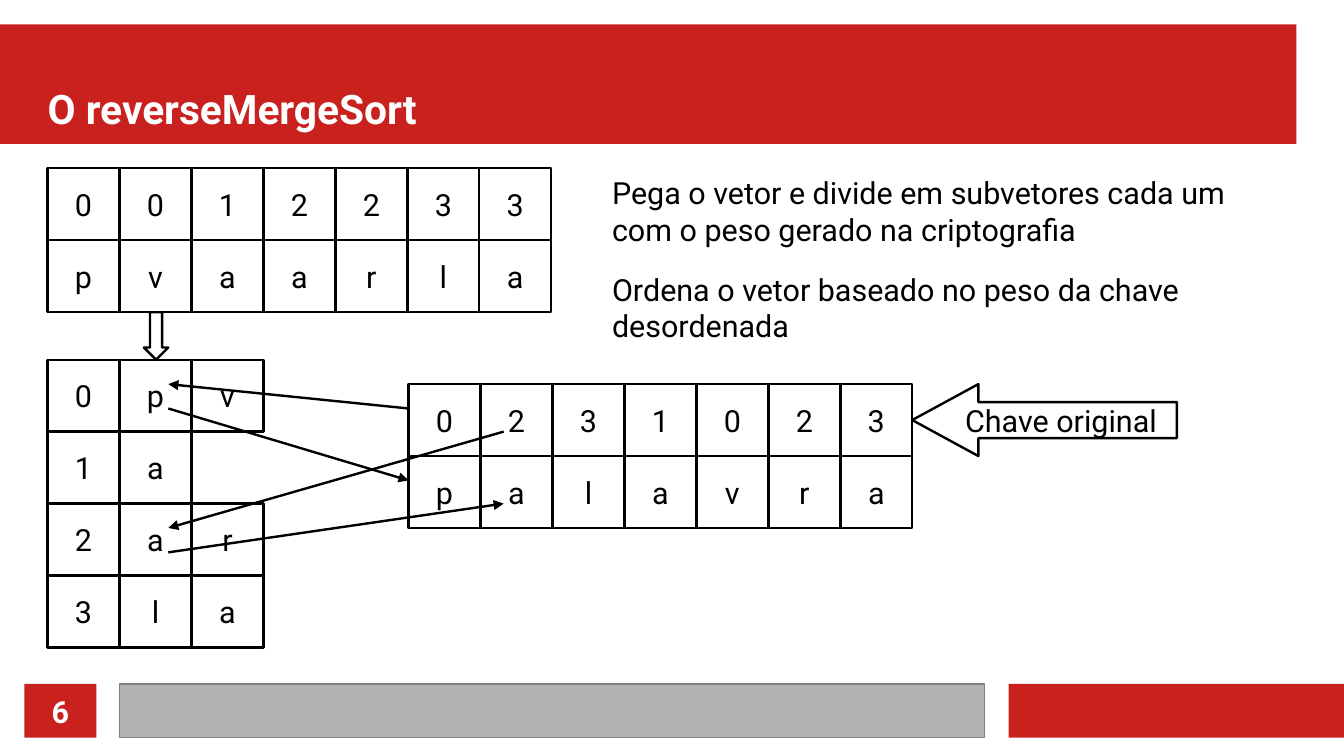
from dataclasses import dataclass

from lxml.etree import SubElement
from pptx import Presentation
from pptx.dml.color import RGBColor
from pptx.enum.shapes import MSO_CONNECTOR as Connector, MSO_SHAPE as Shape
from pptx.enum.text import MSO_ANCHOR as Anchor, MSO_AUTO_SIZE as AutoSize, PP_ALIGN as Align
from pptx.oxml.ns import qn
from pptx.util import Inches, Pt


@dataclass(frozen=True)
class Theme:
    font: str = "Roboto"
    red: str = "C9211E"
    gray: str = "B2B2B2"
    gray_line: str = "808080"
    black: str = "000000"
    white: str = "FFFFFF"
    title_size: float = 24
    text_size: float = 18
    line_width: float = 1.42
    cell: float = 0.59


class SlideBuilder:
    def __init__(self, slide, theme):
        self.s = slide
        self.theme = theme

    def add_run(self, tf, text, size=None, color=None, bold=False, align=Align.LEFT):
        p = tf.paragraphs[0]
        p.alignment = align
        r = p.add_run()
        r.text = text
        r.font.name = self.theme.font
        r.font.size = Pt(size or self.theme.text_size)
        r.font.bold = bold
        r.font.color.rgb = RGBColor.from_string(color or self.theme.black)

    def title(self, text, left, top, width, height):
        sp = self.s.shapes.title
        sp.left, sp.top, sp.width, sp.height = map(Inches, (left, top, width, height))
        tf = sp.text_frame
        tf.margin_left = tf.margin_right = tf.margin_top = tf.margin_bottom = 0
        tf.vertical_anchor = Anchor.BOTTOM
        tf.auto_size = AutoSize.NONE
        self.add_run(tf, text, self.theme.title_size, self.theme.white, bold=True)

    def shape(self, kind, left, top, width, height, fill, line=None, line_width=0):
        sp = self.s.shapes.add_shape(kind, *map(Inches, (left, top, width, height)))
        sp.shadow.inherit = False
        sp.fill.solid()
        sp.fill.fore_color.rgb = RGBColor.from_string(fill)
        if line:
            sp.line.color.rgb = RGBColor.from_string(line)
            sp.line.width = Pt(line_width)
        else:
            sp.line.fill.background()
        return sp

    def label(self, sp, text, color=None, bold=False):
        """Put centred, unwrapped text inside a shape."""
        tf = sp.text_frame
        tf.word_wrap = False
        tf.vertical_anchor = Anchor.MIDDLE
        self.add_run(tf, text, color=color, bold=bold, align=Align.CENTER)

    def outlined(self, kind, left, top, width, height, text=None):
        t = self.theme
        sp = self.shape(kind, left, top, width, height, t.white, t.black, t.line_width)
        if text:
            self.label(sp, text)
        return sp

    def grid(self, left, top, rows):
        """Draw one square per character; each row is a string."""
        size = self.theme.cell
        for i, row in enumerate(rows):
            for j, char in enumerate(row):
                self.outlined(Shape.RECTANGLE, left + j * size, top + i * size, size, size, char)

    def text(self, text, left, top, width, height):
        tf = self.s.shapes.add_textbox(*map(Inches, (left, top, width, height))).text_frame
        tf.word_wrap = True
        self.add_run(tf, text)

    def arrow(self, start, end):
        c = self.s.shapes.add_connector(Connector.STRAIGHT, *map(Inches, (*start, *end)))
        c.line.color.rgb = RGBColor.from_string(self.theme.black)
        c.line.width = Pt(self.theme.line_width)
        sp_pr = c._element.spPr
        SubElement(sp_pr.find(qn("a:ln")), qn("a:tailEnd"), type="triangle")
        SubElement(sp_pr, qn("a:effectLst"))


def main():
    prs = Presentation()
    prs.slide_width, prs.slide_height = Inches(11.02), Inches(6.2)
    theme = Theme()
    b = SlideBuilder(prs.slides.add_slide(prs.slide_layouts.get_by_name("Title Only")), theme)

    b.shape(Shape.RECTANGLE, 0, 0.2, 10.63, 0.98, theme.red)
    b.title("O reverseMergeSort", 0.39, 0.3, 10.24, 0.79)
    # The title placeholder belongs above its red band.
    tree = b.s.shapes._spTree
    tree.append(b.s.shapes.title._element)

    footer_top, footer_height = 5.61, 0.44
    b.shape(Shape.RECTANGLE, 8.27, footer_top, 2.75, footer_height, theme.red)
    b.shape(Shape.RECTANGLE, 0.98, footer_top, 7.09, footer_height, theme.gray, theme.gray_line)
    number = b.shape(Shape.RECTANGLE, 0.2, footer_top, 0.59, footer_height, theme.red)
    b.label(number, "6", theme.white, bold=True)

    down = b.outlined(Shape.DOWN_ARROW, 1.18, 2.56, 0.2, 0.39)
    down.adjustments[0] = down.adjustments[1] = 0.5

    b.grid(0.39, 1.38, ["0012233", "pvaarla"])
    b.grid(0.39, 2.95, ["0pv", "1a", "2ar", "3la"])
    b.grid(3.35, 3.15, ["0231023", "palavra"])

    for start, end in [
        ((1.38, 3.35), (3.35, 3.94)),
        ((3.35, 3.35), (1.38, 3.15)),
        ((4.13, 3.54), (1.38, 4.33)),
        ((1.38, 4.53), (4.13, 4.13)),
    ]:
        b.arrow(start, end)

    b.text("Pega o vetor e divide em subvetores cada um com o peso gerado na criptografia",
           4.92, 1.38, 5.71, 0.78)
    b.text("Ordena o vetor baseado no peso da chave desordenada", 4.92, 2.17, 5.51, 0.78)

    key = b.outlined(Shape.LEFT_ARROW, 7.48, 3.15, 2.17, 0.59, "Chave original")
    key.adjustments[0], key.adjustments[1] = 0.5, 0.92

    prs.save("out.pptx")


if __name__ == "__main__":
    main()
